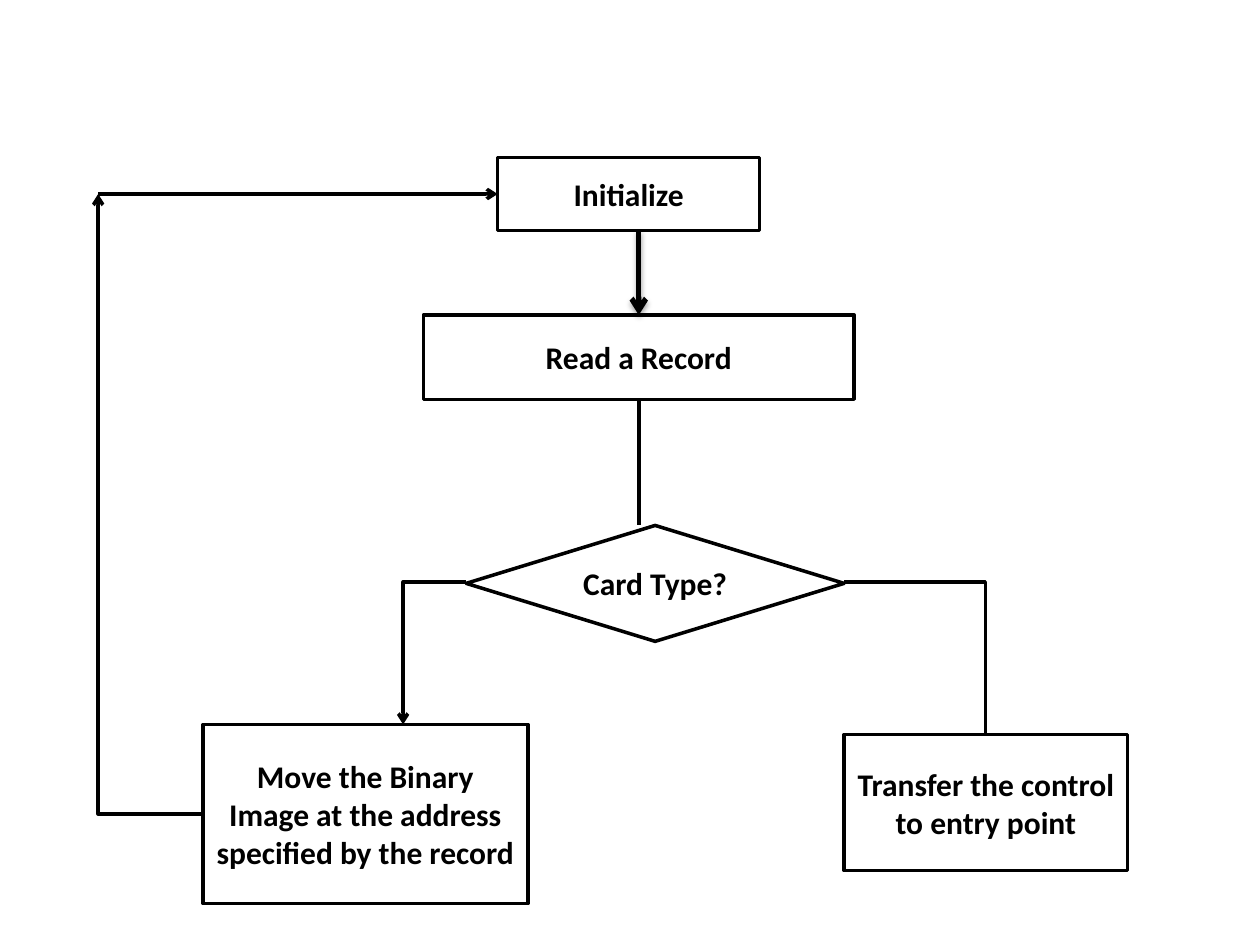
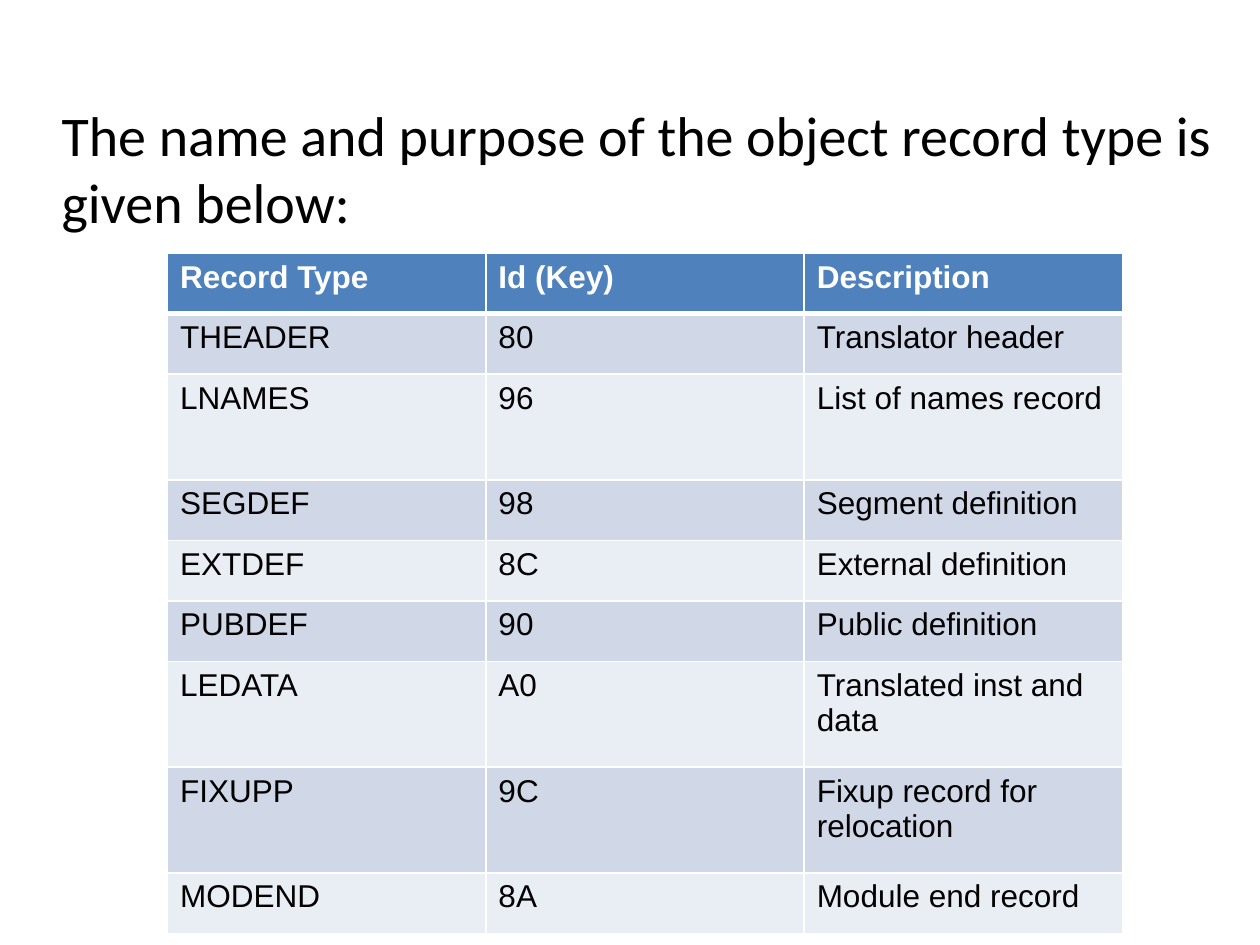
from lxml.etree import SubElement
from pptx import Presentation
from pptx.dml.color import RGBColor
from pptx.enum.shapes import MSO_CONNECTOR as LINK, MSO_SHAPE as SHAPE
from pptx.enum.text import MSO_ANCHOR, PP_ALIGN
from pptx.oxml.ns import qn
from pptx.util import Inches, Pt

BLACK = RGBColor(0x00, 0x00, 0x00)
WHITE = RGBColor(0xFF, 0xFF, 0xFF)
HEADER_BLUE = RGBColor(0x4F, 0x81, 0xBD)
BANDS = [RGBColor(0xD0, 0xD8, 0xE8), RGBColor(0xE9, 0xED, 0xF4)]

STEP_FONT = {"name": "Calibri", "size": Pt(18), "bold": True}
INTRO_FONT = {"name": "Calibri", "size": Pt(32), "bold": False}
HEADER_FONT = {"name": "Arial", "size": Pt(18), "bold": True}
CELL_FONT = {**HEADER_FONT, "bold": False}


def write(frame, text, font_format, color):
    frame.word_wrap = True
    frame.text = text
    font = frame.paragraphs[0].runs[0].font
    for key, value in font_format.items():
        setattr(font, key, value)
    font.color.rgb = color


def link(slide, start, end, kind=LINK.STRAIGHT, weight=2, arrow=True):
    connector = slide.shapes.add_connector(kind, *map(Inches, start + end))
    connector.line.color.rgb = BLACK
    connector.line.width = Pt(weight)
    properties = connector._element.spPr
    if kind == LINK.ELBOW:  # a single corner: across, then up or down
        properties.find(qn("a:prstGeom")).set("prst", "bentConnector2")
    if arrow:
        SubElement(properties.find(qn("a:ln")), qn("a:tailEnd"), type="arrow")
    SubElement(properties, qn("a:effectLst"))
    return connector


prs = Presentation()
prs.slide_width, prs.slide_height = Inches(10), Inches(7.5)
blank = prs.slide_layouts[6]

# Slide 1: loader flowchart
flow = prs.slides.add_slide(blank)
steps = [
    (SHAPE.RECTANGLE, "Initialize", 3.95, 1.25, 2.08, 0.58),
    (SHAPE.RECTANGLE, "Read a Record", 3.36, 2.5, 3.42, 0.67),
    (SHAPE.FLOWCHART_DECISION, "Card Type?", 3.7, 4.17, 3, 0.92),
    (SHAPE.FLOWCHART_PROCESS,
     "Move the Binary Image at the address specified by the record",
     1.61, 5.75, 2.58, 1.42),
    (SHAPE.FLOWCHART_PROCESS, "Transfer the control to entry point",
     6.7, 5.83, 2.25, 1.08),
]
boxes = []
for kind, label, *place in steps:
    box = flow.shapes.add_shape(kind, *map(Inches, place))
    box.shadow.inherit = False
    box.fill.solid()
    box.fill.fore_color.rgb = WHITE
    box.line.color.rgb = BLACK
    box.line.width = Pt(2)
    write(box.text_frame, label, STEP_FONT, BLACK)
    box.text_frame.vertical_anchor = MSO_ANCHOR.MIDDLE
    box.text_frame.paragraphs[0].alignment = PP_ALIGN.CENTER
    boxes.append(box)
initialize, read_record = boxes[:2]

# Branches of the decision
link(flow, (6.7, 4.62), (7.82, 5.83), LINK.ELBOW, arrow=False)
link(flow, (3.7, 4.62), (3.2, 5.75), LINK.ELBOW)

# Downward path, its first arrow with a soft shadow
to_read = link(flow, (5.07, 1.83), (5.07, 2.5), weight=3)
to_read.end_connect(read_record, 0)
effects = to_read._element.spPr.find(qn("a:effectLst"))
shadow = SubElement(effects, qn("a:outerShdw"), blurRad=str(Pt(3.1)),
                    dist=str(Pt(1.8)), dir="5400000", rotWithShape="0")
shade = SubElement(shadow, qn("a:srgbClr"), val=str(BLACK))
SubElement(shade, qn("a:alpha"), val="35000")
to_decision = link(flow, (5.07, 3.17), (5.07, 4.17), arrow=False)
to_decision.begin_connect(read_record, 2)

# Loop back to the start
link(flow, (1.61, 6.46), (0.78, 1.54), LINK.ELBOW)
loop_end = link(flow, (0.78, 1.54), (3.95, 1.54))
loop_end.end_connect(initialize, 1)

# Slide 2: object record types
records_slide = prs.slides.add_slide(blank)
intro = records_slide.shapes.add_textbox(*map(Inches, (0.39, 0.75, 9.61, 1.28)))
write(intro.text_frame,
      "The name and purpose of the object record type is given below:",
      INTRO_FONT, BLACK)

records = [
    ("Record Type", "Id (Key)", "Description"),
    ("THEADER", "80", "Translator header"),
    ("LNAMES", "96", "List of names record"),
    ("SEGDEF", "98", "Segment definition"),
    ("EXTDEF", "8C", "External definition"),
    ("PUBDEF", "90", "Public definition"),
    ("LEDATA", "A0", "Translated inst and data"),
    ("FIXUPP", "9C", "Fixup record for relocation"),
    ("MODEND", "8A", "Module end record"),
]
TALL_ROWS = ("LNAMES", "LEDATA", "FIXUPP")
table = records_slide.shapes.add_table(
    len(records), 3, *map(Inches, (1.33, 2.01, 7.58, 5.42))).table
for row, record in enumerate(records):
    table.rows[row].height = Inches(0.84 if record[0] in TALL_ROWS else 0.48)
    for column, text in enumerate(record):
        cell = table.cell(row, column)
        if row == 0:
            write(cell.text_frame, text, HEADER_FONT, WHITE)
        else:
            write(cell.text_frame, text, CELL_FONT, BLACK)
        # White rules, thicker under the header
        for side in "LRTB":
            thick = (row, side) in ((0, "B"), (1, "T"))
            rule = SubElement(cell._tc.get_or_add_tcPr(), qn(f"a:ln{side}"),
                              w=str(Pt(3 if thick else 1)))
            SubElement(SubElement(rule, qn("a:solidFill")),
                       qn("a:srgbClr"), val=str(WHITE))
        cell.fill.solid()
        cell.fill.fore_color.rgb = BANDS[(row - 1) % 2] if row else HEADER_BLUE

prs.save("out.pptx")
